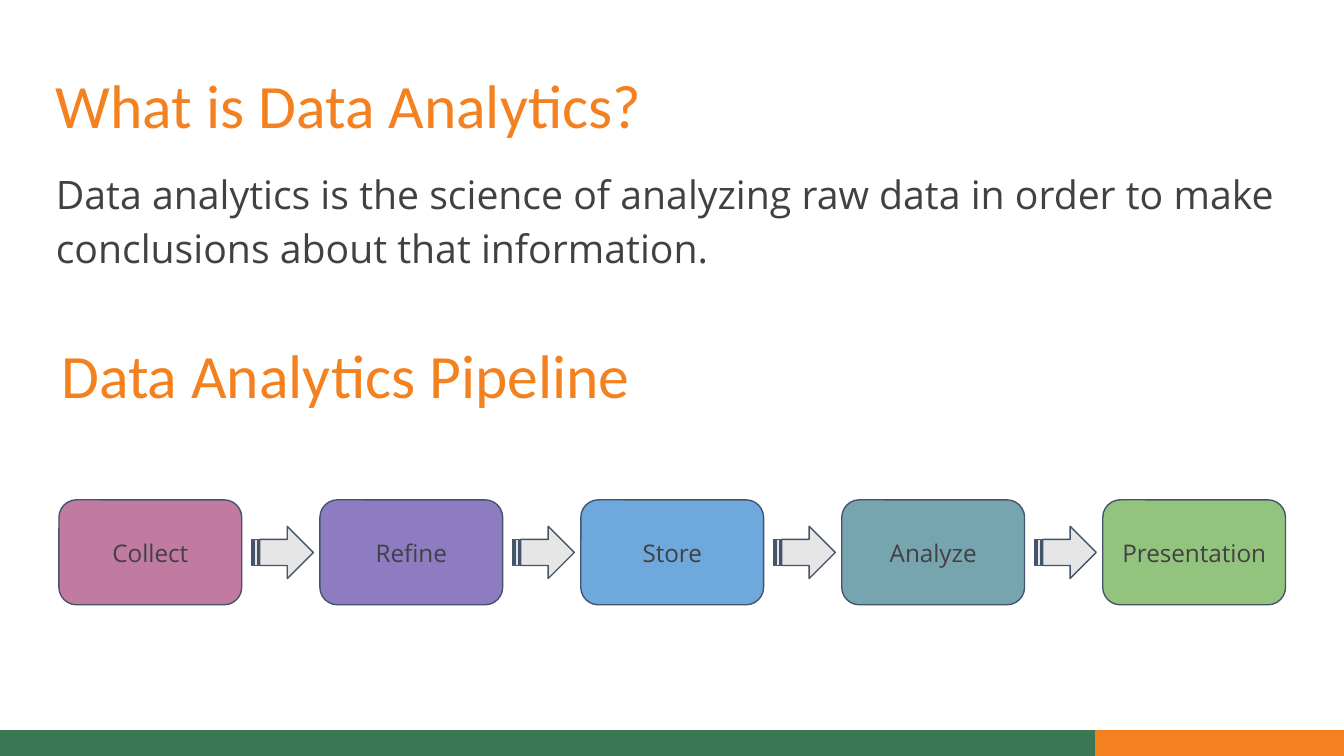
"""Build a slide that defines data analytics and shows its pipeline."""
from dataclasses import dataclass

from pptx import Presentation
from pptx.dml.color import RGBColor as Rgb
from pptx.enum.shapes import MSO_SHAPE as Kind
from pptx.enum.text import MSO_ANCHOR as Anchor, MSO_AUTO_SIZE as Fit, PP_ALIGN as Align
from pptx.util import Pt


@dataclass(frozen=True)
class Theme:
    orange: str = "F48120"
    green: str = "397852"
    ink: str = "414042"
    edge: str = "44546A"
    arrow: str = "E7E6E6"
    head: str = "Calibri"
    body: str = "Open Sans"
    big: int = 33
    mid: int = 21
    small: int = 13


theme = Theme()


def write(frame, text, font, size, color, inset, anchor, align=Align.LEFT):
    frame.word_wrap = True
    frame.auto_size = Fit.NONE
    frame.vertical_anchor = anchor
    frame.margin_left = frame.margin_right = Pt(inset)
    frame.margin_top = frame.margin_bottom = Pt(inset)
    para = frame.paragraphs[0]
    para.alignment = align
    run = para.add_run()
    run.text = text
    run.font.name = font
    run.font.size = Pt(size)
    run.font.color.rgb = Rgb.from_string(color)
    return para


def draw(kind, left, top, width, height, fill, edge, weight):
    shape = slide.shapes.add_shape(kind, Pt(left), Pt(top), Pt(width), Pt(height))
    shape.shadow.inherit = False
    shape.fill.solid()
    shape.fill.fore_color.rgb = Rgb.from_string(fill)
    shape.line.color.rgb = Rgb.from_string(edge)
    shape.line.width = Pt(weight)
    return shape


deck = Presentation()
deck.slide_width, deck.slide_height = Pt(720), Pt(405)
slide = deck.slides.add_slide(deck.slide_layouts[5])

split = 587.4
for left, width, color in ((0, split, theme.green), (split, 720 - split, theme.orange)):
    draw(Kind.RECTANGLE, left, 391.5, width, 13.5, color, color, 1)

title = slide.shapes.title
title.left, title.top, title.width, title.height = Pt(24.5), Pt(25.2), Pt(671), Pt(65.5)
second = slide.shapes.add_textbox(Pt(27.4), Pt(170), Pt(671), Pt(65.5))
for box, text in ((title, "What is Data Analytics?"), (second, "Data Analytics Pipeline")):
    para = write(box.text_frame, text, theme.head, theme.big, theme.orange, 5.4, Anchor.MIDDLE)
    para.line_spacing = 0.9

intro = slide.shapes.add_textbox(Pt(24.5), Pt(82), Pt(671), Pt(81.4))
para = write(
    intro.text_frame,
    "Data analytics is the science of analyzing raw data in order to make "
    "conclusions about that information.",
    theme.body, theme.mid, theme.ink, 5.4, Anchor.TOP,
)
para.line_spacing = 1.15
para.space_before = Pt(8)

steps = (
    ("Collect", "C27BA0"),
    ("Refine", "8E7CC3"),
    ("Store", "6FA8DC"),
    ("Analyze", "76A5AF"),
    ("Presentation", "93C47D"),
)
start, pitch = 31.6, 139.8
for i, (name, color) in enumerate(steps):
    left = start + i * pitch
    step = draw(Kind.ROUNDED_RECTANGLE, left, 267.8, 97.9, 56.2, color, theme.edge, 0.75)
    write(step.text_frame, name, theme.body, theme.small, theme.ink, 7.2,
          Anchor.MIDDLE, Align.CENTER)
    if i < len(steps) - 1:
        draw(Kind.STRIPED_RIGHT_ARROW, left + 103.2, 282, 33.1, 28,
             theme.arrow, theme.edge, 0.75)

deck.save("out.pptx")
